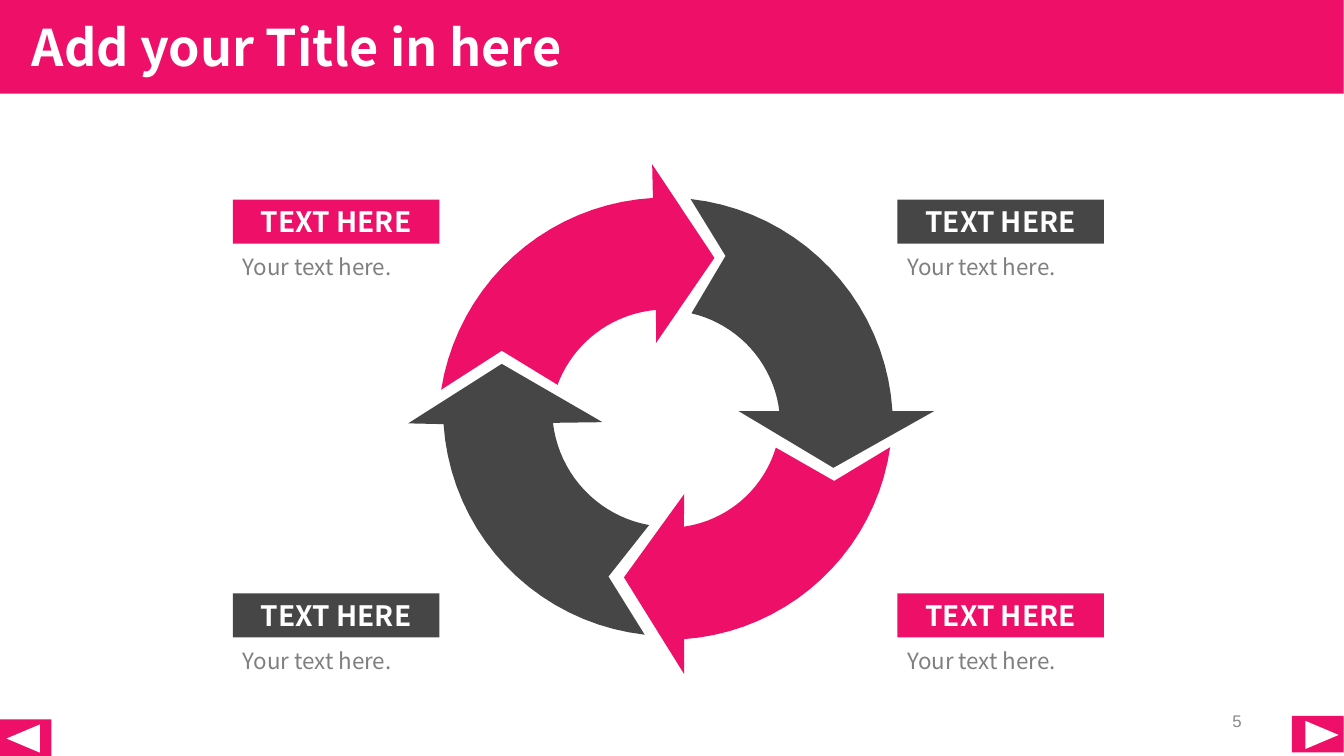
import math

from pptx import Presentation
from pptx import util as u
from pptx.dml import color
from pptx.enum import shapes, text

PINK, DARK, WHITE = "EE0F68", "464646", "FFFFFF"
CAPTION_GREY, NUMBER_GREY = "7F7F7F", "898989"
FONT = "Noto Sans CJK SC"

# Ring arrows, in cm from the ring's corner, angles clockwise from east:
# colour, centre, outer radius, outer arc, inner radius, inner arc, head, notch
RING_ARROWS = [
    (PINK, (6.5, 6.58), 5.74, (189, 266.7), 2.92, (265, 200.5),
     [(6.15, 0), (7.72, 2.36), (6.25, 4.5)], (2.36, 4.7)),
    (PINK, (6.55, 6.32), 5.66, (8.2, 85.9), 2.84, (81.9, 16.8),
     [(6.96, 12.85), (5.44, 10.41), (6.96, 8.31)], (10.74, 7.98)),
    (DARK, (6.6, 6.17), 5.72, (96.4, 176.2), 2.97, (173.3, 100.2),
     [(0, 6.53), (2.36, 5.03), (4.9, 6.5)], (5.05, 10.39)),
    (DARK, (6.48, 6.58), 5.74, (276.4, 356.4), 2.9, (352.9, 283.2),
     [(13.26, 6.22), (10.72, 7.65), (8.33, 6.22)], (8, 2.31)),
]


def rgb(value):
    return color.RGBColor.from_string(value)


def paint(shape, fill):
    shape.shadow.inherit = False
    shape.fill.solid()
    shape.fill.fore_color.rgb = rgb(fill)
    shape.line.fill.background()


def add_block(slide, kind, left, top, width, height, fill):
    shape = slide.shapes.add_shape(kind, u.Cm(left), u.Cm(top), u.Cm(width), u.Cm(height))
    paint(shape, fill)
    return shape


def write(shape, words, size, fill, align, anchor, bold=False, font=FONT):
    frame = shape.text_frame
    frame.word_wrap = True
    frame.auto_size = text.MSO_AUTO_SIZE.NONE
    frame.vertical_anchor = anchor
    frame.text = words
    paragraph = frame.paragraphs[0]
    paragraph.alignment = align
    paragraph.font.size = u.Pt(size)
    paragraph.font.name = font
    paragraph.font.bold = bold
    paragraph.font.color.rgb = rgb(fill)


def add_text(slide, left, top, width, height, *style, **options):
    box = slide.shapes.add_textbox(u.Cm(left), u.Cm(top), u.Cm(width), u.Cm(height))
    write(box, *style, **options)


def add_title(slide, left, top, width, height):
    title = slide.shapes.title
    title.left, title.top = u.Cm(left), u.Cm(top)
    title.width, title.height = u.Cm(width), u.Cm(height)
    title.fill.solid()
    title.fill.fore_color.rgb = rgb(PINK)
    write(title, "Add your Title in here", 36, WHITE,
          text.PP_ALIGN.LEFT, text.MSO_ANCHOR.MIDDLE, bold=True)
    title.text_frame.margin_left = u.Cm(0.8)


def add_nav_button(slide, left, top, triangle_left, triangle_top, rotation):
    add_block(slide, shapes.MSO_SHAPE.RECTANGLE, left, top, 1.3, 0.92, PINK)
    triangle = add_block(slide, shapes.MSO_SHAPE.ISOSCELES_TRIANGLE,
                         left + triangle_left, top + triangle_top, 0.71, 0.84, WHITE)
    triangle.rotation = rotation


def arc(centre, radius, start, end, steps=20):
    angles = [math.radians(start + (end - start) * i / steps) for i in range(steps + 1)]
    return [(centre[0] + radius * math.cos(a), centre[1] + radius * math.sin(a))
            for a in angles]


def add_ring(slide, left, top):
    group = slide.shapes.add_group_shape()
    for fill, centre, outer, outer_arc, inner, inner_arc, head, notch in RING_ARROWS:
        outline = (arc(centre, outer, *outer_arc) + head
                   + arc(centre, inner, *inner_arc) + [notch])
        points = [(u.Cm(left + x), u.Cm(top + y)) for x, y in outline]
        builder = group.shapes.build_freeform(*points[0], scale=1.0)
        builder.add_line_segments(points[1:], close=True)
        paint(builder.convert_to_shape(), fill)


def add_label(slide, left, top, fill):
    heading = add_block(slide, shapes.MSO_SHAPE.RECTANGLE, left, top, 5.21, 1.11, fill)
    write(heading, "TEXT HERE", 20, WHITE, text.PP_ALIGN.CENTER,
          text.MSO_ANCHOR.TOP, bold=True)
    add_text(slide, left, top + 1.23, 4.88, 0.94, "Your text here.", 16, CAPTION_GREY,
             text.PP_ALIGN.LEFT, text.MSO_ANCHOR.TOP)


def main():
    presentation = Presentation()
    presentation.slide_width, presentation.slide_height = u.Cm(33.88), u.Cm(19.05)
    slide = presentation.slides.add_slide(presentation.slide_layouts[5])

    # Title band and navigation buttons
    add_title(slide, 0, 0, 33.87, 2.36)
    add_nav_button(slide, 0, 18.13, 0.23, 0.06, 270)
    add_nav_button(slide, 32.57, 18.04, 0.4, 0.06, 90)

    # Cycle of four arrows with a label at each corner
    add_ring(slide, 10.29, 4.14)
    left, right, upper, lower = 5.87, 22.62, 5.03, 14.95
    for x, y, fill in [(left, upper, PINK), (right, upper, DARK),
                       (right, lower, PINK), (left, lower, DARK)]:
        add_label(slide, x, y, fill)

    # Page number
    add_text(slide, 23.93, 17.66, 7.62, 1.01, "5", 12, NUMBER_GREY,
             text.PP_ALIGN.RIGHT, text.MSO_ANCHOR.MIDDLE, font="Arial")

    presentation.save("out.pptx")


if __name__ == "__main__":
    main()
